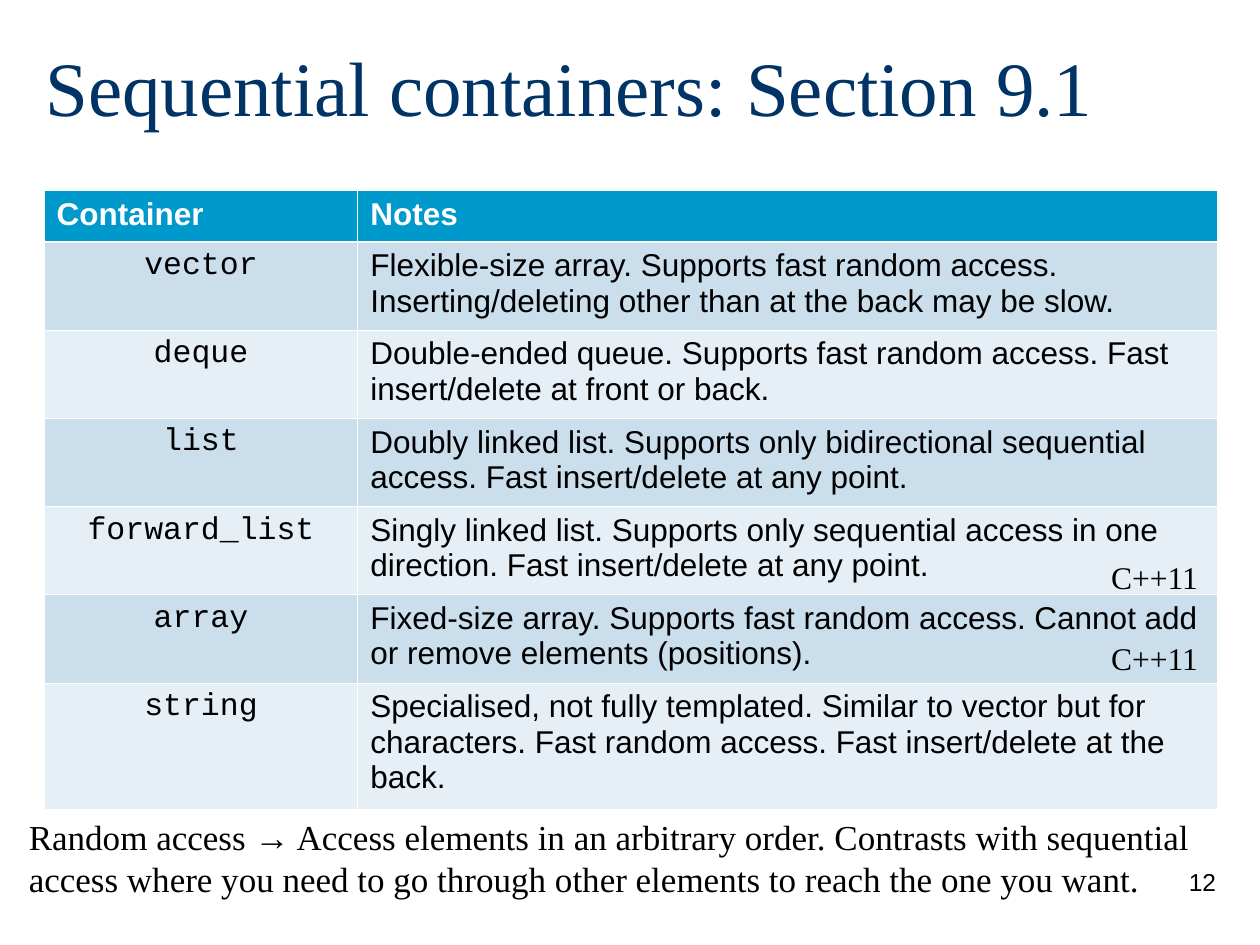
"""Build a slide that compares the sequential containers of C++."""
from typing import NamedTuple

import lxml.etree
import pptx
import pptx.dml.color
import pptx.enum.text
import pptx.oxml.ns
import pptx.util

Inches = pptx.util.Inches
Pt = pptx.util.Pt
RGBColor = pptx.dml.color.RGBColor
Align = pptx.enum.text.PP_ALIGN
Anchor = pptx.enum.text.MSO_ANCHOR
AutoSize = pptx.enum.text.MSO_AUTO_SIZE

BLACK = RGBColor(0x00, 0x00, 0x00)
WHITE = RGBColor(0xFF, 0xFF, 0xFF)
NAVY = RGBColor(0x00, 0x33, 0x66)
HEADER_BLUE = RGBColor(0x00, 0x99, 0xCC)
BANDS = (RGBColor(0xCB, 0xDE, 0xEC), RGBColor(0xE7, 0xEF, 0xF6))

SERIF = "Times New Roman"
SANS = "Arial"
MONO = "Courier New"
THIN, THICK = 0.45, 1.47


class Container(NamedTuple):
    name: str
    notes: str
    height: float = 0.7


class Label(NamedTuple):
    text: str
    left: float
    top: float
    width: float
    height: float
    size: int
    font: str = SERIF
    align: Align = Align.LEFT
    wrap: bool = True
    space_before: float = 0


CONTAINERS = (
    Container("vector", "Flexible-size array. Supports fast random access. "
              "Inserting/deleting other than at the back may be slow."),
    Container("deque", "Double-ended queue. Supports fast random access. "
              "Fast insert/delete at front or back."),
    Container("list", "Doubly linked list. Supports only bidirectional sequential access. "
              "Fast insert/delete at any point."),
    Container("forward_list", "Singly linked list. Supports only sequential access in one direction. "
              "Fast insert/delete at any point."),
    Container("array", "Fixed-size array. Supports fast random access. "
              "Cannot add or remove elements (positions)."),
    Container("string", "Specialised, not fully templated. Similar to vector but for characters. "
              "Fast random access. Fast insert/delete at the back.", 1),
)

LABELS = (
    Label("12", 7.67, 6.83, 2.08, 0.5, 14, SANS, Align.RIGHT, space_before=8.8),
    Label("Random access → Access elements in an arbitrary order. Contrasts with sequential "
          "access where you need to go through other elements to reach the one you want.",
          0.13, 6.42, 9.75, 0.77, 20),
    Label("C++11", 8.72, 4.38, 0.9, 0.4, 18, wrap=False),
    Label("C++11", 8.72, 5.02, 0.9, 0.4, 18, wrap=False),
)


def write(frame, text: str, *, size: int, font: str = SANS, color: RGBColor = BLACK,
          bold: bool = False, align: Align = Align.LEFT, space_before: float = 0) -> None:
    """Fill a text frame with one formatted paragraph, setting arrows in the sans font."""
    paragraph = frame.paragraphs[0]
    paragraph.alignment = align
    if space_before:
        paragraph.space_before = Pt(space_before)
    before, arrow, after = text.partition("→")
    for part, typeface in ((before, font), (arrow, SANS), (after, font)):
        if part:
            run = paragraph.add_run()
            run.text = part
            run.font.name = typeface
            run.font.size = Pt(size)
            run.font.bold = bold
            run.font.color.rgb = color


def add_label(slide, label: Label) -> None:
    """Place a text box on the slide."""
    box = slide.shapes.add_textbox(Inches(label.left), Inches(label.top),
                                   Inches(label.width), Inches(label.height))
    box.text_frame.word_wrap = label.wrap
    write(box.text_frame, label.text, size=label.size, font=label.font,
          align=label.align, space_before=label.space_before)


def style_cell(cell, fill: RGBColor, top: float = THIN, bottom: float = THIN) -> None:
    """Give a cell its fill and white borders."""
    cell.fill.solid()
    cell.fill.fore_color.rgb = fill
    properties = cell._tc.get_or_add_tcPr()
    borders = (("L", THIN), ("R", THIN), ("T", top), ("B", bottom))
    for position, (side, width) in enumerate(borders):
        line = lxml.etree.Element(pptx.oxml.ns.qn(f"a:ln{side}"), w=str(int(Pt(width))))
        solid = lxml.etree.SubElement(line, pptx.oxml.ns.qn("a:solidFill"))
        lxml.etree.SubElement(solid, pptx.oxml.ns.qn("a:srgbClr"), val=str(WHITE))
        properties.insert(position, line)


def add_container_table(slide) -> None:
    """Draw the table of containers under its header row."""
    table = slide.shapes.add_table(len(CONTAINERS) + 1, 2, Inches(0.35), Inches(1.51),
                                   Inches(9.31), Inches(4.91)).table
    for column, width in zip(table.columns, (2.49, 6.82)):
        column.width = Inches(width)
    table.rows[0].height = Inches(0.41)
    for column, heading in enumerate(("Container", "Notes")):
        cell = table.cell(0, column)
        write(cell.text_frame, heading, size=18, color=WHITE, bold=True)
        style_cell(cell, HEADER_BLUE, bottom=THICK)
    for row, container in enumerate(CONTAINERS, start=1):
        table.rows[row].height = Inches(container.height)
        name, notes = table.cell(row, 0), table.cell(row, 1)
        write(name.text_frame, container.name, size=18, font=MONO, align=Align.CENTER)
        write(notes.text_frame, container.notes, size=18)
        for cell in (name, notes):
            style_cell(cell, BANDS[(row - 1) % 2], top=THICK if row == 1 else THIN)


def add_title(slide, text: str) -> None:
    """Move and format the title placeholder."""
    title = slide.shapes.title
    title.left, title.top = Inches(0.26), Inches(0.21)
    title.width, title.height = Inches(9.19), Inches(0.94)
    title.text_frame.auto_size = AutoSize.NONE
    title.text_frame.vertical_anchor = Anchor.MIDDLE
    write(title.text_frame, text, size=44, font=SERIF, color=NAVY)


def main() -> None:
    """Assemble and save the slide."""
    deck = pptx.Presentation()
    deck.slide_width, deck.slide_height = Inches(10), Inches(7.5)
    slide = deck.slides.add_slide(deck.slide_layouts.get_by_name("Title Only"))
    add_title(slide, "Sequential containers: Section 9.1")
    add_container_table(slide)
    for label in LABELS:
        add_label(slide, label)
    deck.save("out.pptx")


if __name__ == "__main__":
    main()
